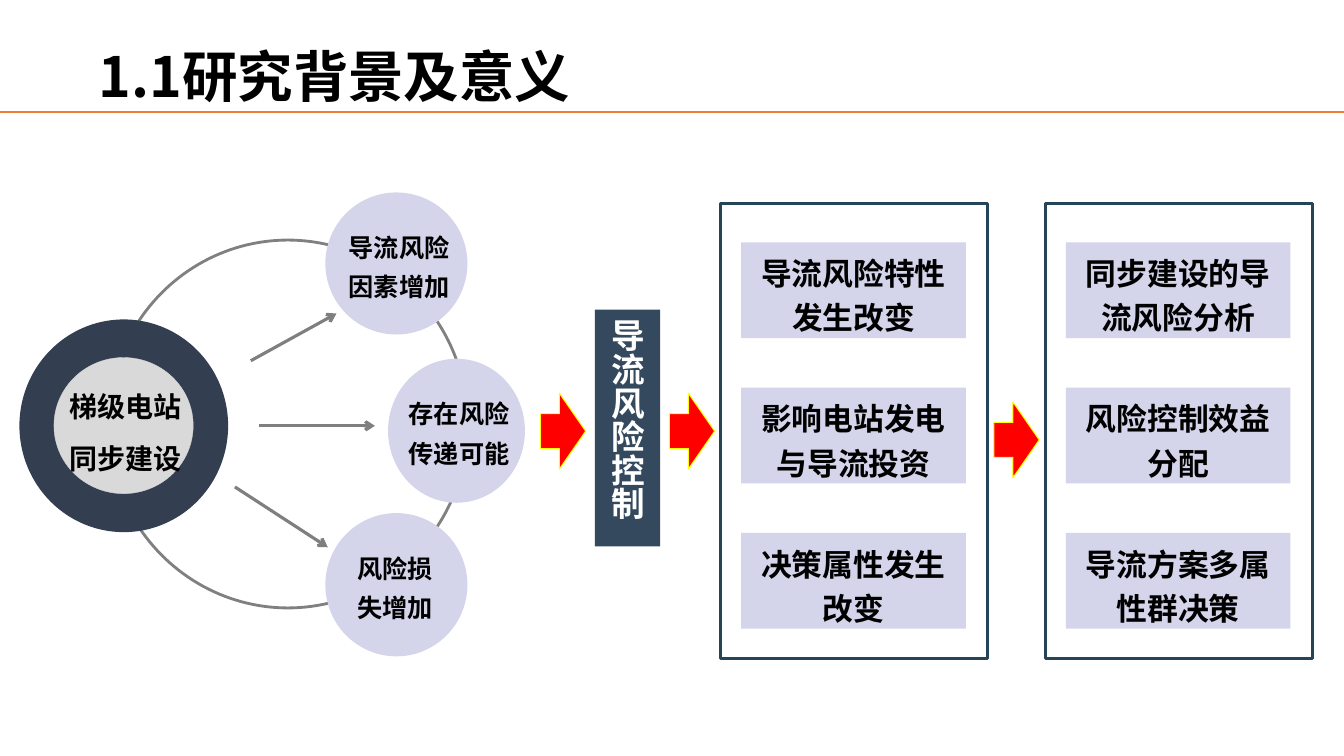
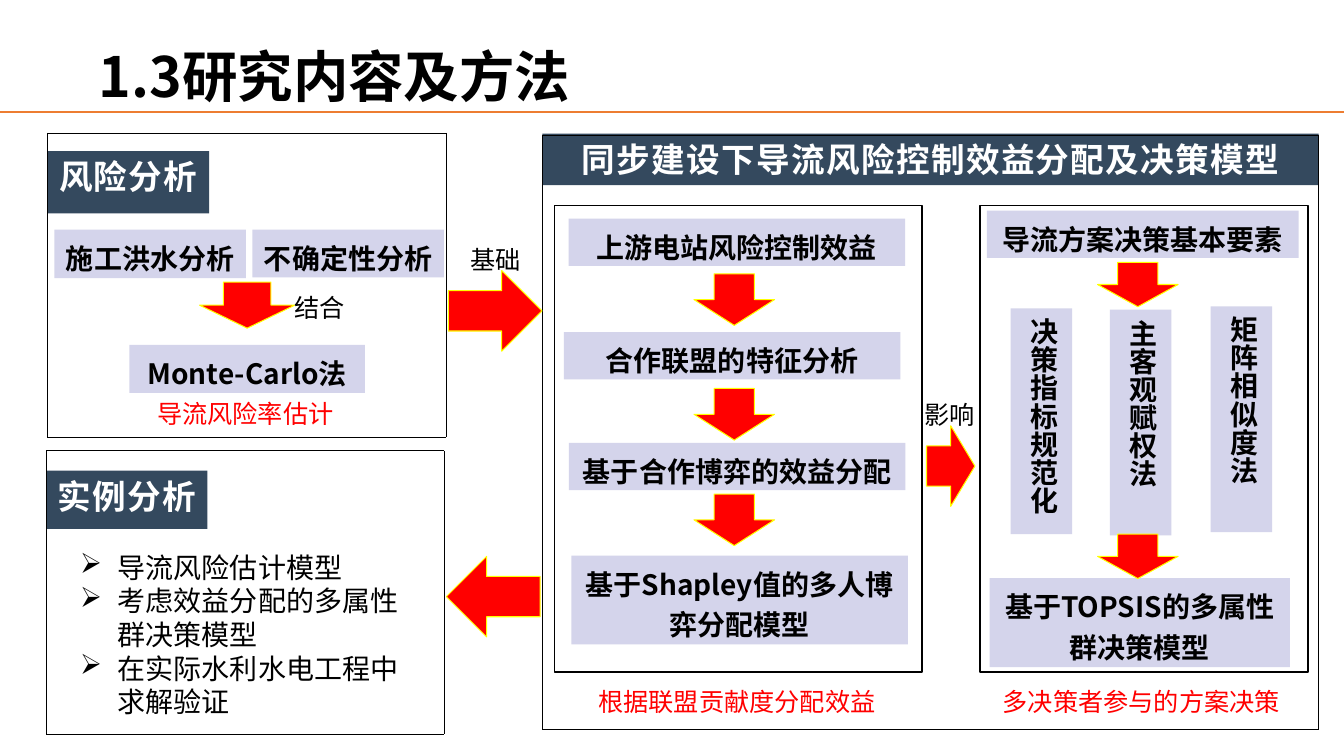
from lxml import etree
from pptx import Presentation
from pptx.dml.color import RGBColor
from pptx.enum.shapes import MSO_CONNECTOR, MSO_SHAPE
from pptx.enum.text import MSO_ANCHOR, MSO_AUTO_SIZE, PP_ALIGN
from pptx.oxml.ns import qn
from pptx.util import Cm, Pt

RECT, OVAL = MSO_SHAPE.RECTANGLE, MSO_SHAPE.OVAL
RIGHT, LEFT, DOWN = MSO_SHAPE.RIGHT_ARROW, MSO_SHAPE.LEFT_ARROW, MSO_SHAPE.DOWN_ARROW
STRAIGHT = MSO_CONNECTOR.STRAIGHT
TOP, MIDDLE = MSO_ANCHOR.TOP, MSO_ANCHOR.MIDDLE
CENTER = PP_ALIGN.CENTER
GROW = MSO_AUTO_SIZE.SHAPE_TO_FIT_TEXT

BLACK = RGBColor(0x00, 0x00, 0x00)
WHITE = RGBColor(0xFF, 0xFF, 0xFF)
RED = RGBColor(0xFF, 0x00, 0x00)
YELLOW = RGBColor(0xFF, 0xFF, 0x00)
ORANGE = RGBColor(0xED, 0x7D, 0x31)
LAVENDER = RGBColor(0xD4, 0xD4, 0xEB)
SLATE = RGBColor(0x34, 0x49, 0x5E)
TEAL = RGBColor(0x26, 0x44, 0x57)
NAVY = RGBColor(0x33, 0x3F, 0x50)
RING_GREY = RGBColor(0x80, 0x80, 0x80)
ARROW_GREY = RGBColor(0x7F, 0x7F, 0x7F)
LIGHT_GREY = RGBColor(0xD9, 0xD9, 0xD9)
EDGE_GREY = RGBColor(0xD7, 0xD7, 0xD7)
FONT = "Noto Sans CJK SC"

SLIDE_W, SLIDE_H = 33.87, 19.05

# Positions are (left, top, width, height) in centimetres.
# Slide 1: background
RING = (2.72, 6.05, 9.07, 9.27)
HUB_OUTER = (0.49, 8.05, 5.26, 5.36)
HUB_INNER = (1.36, 9.01, 3.51, 3.43)
HUB_LABEL = (0.33, 9.06, 5.69, 3.35)
HUB_LINES = ["梯级电站", "同步建设"]
FACTORS = [  # text, circle, label
    ("导流风险因素增加", (8.2, 4.85, 3.58, 3.58), (8.27, 5.12, 3.58, 2.92)),
    ("存在风险传递可能", (9.78, 9.04, 3.45, 3.63), (9.79, 9.32, 3.56, 2.95)),
    ("风险损失增加", (8.2, 12.93, 3.58, 3.61), (8.23, 13.21, 3.45, 2.92)),
]
SPOKES = [(6.32, 9.09, 8.48, 7.9), (6.53, 10.73, 9.45, 10.73),
          (5.92, 12.27, 8.26, 13.79)]
CONTROL = ("导流风险控制", (14.99, 7.8, 1.65, 5.97))
STEP_ARROWS = [(13.62, 9.91), (16.87, 9.91), (25.05, 10.13)]
COLUMNS = [
    (18.16, ["导流风险特性发生改变", "影响电站发电与导流投资", "决策属性发生改变"]),
    (26.34, ["同步建设的导流风险分析", "风险控制效益分配", "导流方案多属性群决策"]),
]

# Slide 2: content and methods
HEADERS = [  # text, box, wrap
    ("风险分析", (1.2, 3.81, 4.07, 1.57), False),
    ("实例分析", (1.17, 11.86, 4.06, 1.47), False),
    ("同步建设下导流风险控制效益分配及决策模型", (13.67, 3.37, 19.56, 1.3), True),
]
GROUP_FRAMES = [
    (1.19, 3.35, 10.06, 7.67),
    (1.17, 11.36, 10.03, 7.14),
    (13.67, 3.4, 19.56, 14.97),
]
MODEL_PANELS = [(13.97, 5.18, 9.27, 11.76), (24.7, 5.18, 8.26, 11.76)]
METHODS = [
    ("施工洪水分析", (1.37, 5.79, 4.83, 1.22)),
    ("不确定性分析", (6.36, 5.79, 4.83, 1.2)),
    ("Monte-Carlo法", (3.26, 8.69, 5.94, 1.21)),
    ("上游电站风险控制效益", (14.33, 5.51, 8.48, 1.19)),
    ("合作联盟的特征分析", (14.21, 8.37, 8.48, 1.19)),
    ("基于合作博弈的效益分配", (14.34, 11.16, 8.48, 1.19)),
    ("基于Shapley值的多人博弈分配模型", (14.4, 14, 8.48, 2.24)),
    ("导流方案决策基本要素", (24.87, 5.31, 7.86, 1.19)),
    ("基于TOPSIS的多属性群决策模型", (24.94, 14.57, 7.57, 2.24)),
]
VERTICAL_METHODS = [
    ("决策指标规范化", (25.47, 7.77, 1.55, 5.69)),
    ("主客观赋权法", (27.97, 7.8, 1.55, 5.69)),
    ("矩阵相似度法", (30.51, 7.72, 1.55, 5.69)),
]
FLOW_ARROWS = [
    (DOWN, (5.03, 7.11, 2.4, 1.16)),
    (DOWN, (17.49, 6.9, 2.03, 1.3)),
    (DOWN, (17.49, 9.79, 2.03, 1.3)),
    (DOWN, (17.49, 12.45, 2.03, 1.3)),
    (DOWN, (27.66, 6.61, 2.03, 1.12)),
    (DOWN, (27.66, 13.46, 2.03, 1.12)),
    (RIGHT, (11.3, 6.82, 2.36, 2.03)),
    (RIGHT, (23.35, 10.73, 1.22, 2.03)),
    (LEFT, (11.25, 14.02, 2.36, 2.03)),
]
CAPTIONS = [
    ("结合", (7.18, 7.24, 1.8, 1.09), BLACK),
    ("基础", (11.61, 6.02, 1.8, 1.02), BLACK),
    ("影响", (23.04, 9.93, 1.8, 1.02), BLACK),
    ("导流风险率估计", (3.71, 9.91, 5, 1.02), RED),
    ("根据联盟贡献度分配效益", (14.83, 17.17, 7.57, 1.02), RED),
    ("多决策者参与的方案决策", (25.02, 17.17, 7.57, 1.02), RED),
]
CASE_BOX = (1.77, 13.74, 8.6, 4.52)
CASE_STEPS = ["导流风险估计模型", "考虑效益分配的多属性群决策模型",
              "在实际水利水电工程中求解验证"]
ARROW_BULLET = ("Wingdings", "Ø")


def lengths(values):
    return [Cm(v) for v in values]


def write(s, lines, size, color=BLACK, bold=True, align=None, spacing=None,
          after=None, wrap=True, inset=None, anchor=TOP, font=FONT,
          tracking=None, vertical=False, bullet=None):
    """Fill a shape with one paragraph per line; tracking is in points."""
    tf = s.text_frame
    tf.text = "\n".join(lines)
    tf.word_wrap = wrap
    tf.auto_size = GROW
    tf.vertical_anchor = anchor
    if inset is not None:
        tf.margin_left = tf.margin_right = Cm(inset)
        tf.margin_top = tf.margin_bottom = Cm(inset)
    if vertical:
        s.element.find(".//" + qn("a:bodyPr")).set("vert", "eaVert")
    for p in tf.paragraphs:
        p.alignment = align or PP_ALIGN.LEFT
        if spacing:
            p.line_spacing = spacing
        if after:
            p.space_after = Pt(after)
        if bullet:
            face, char = bullet
            pPr = p._p.get_or_add_pPr()
            pPr.set("marL", str(Cm(0.95)))
            pPr.set("indent", str(-Cm(0.95)))
            etree.SubElement(pPr, qn("a:buFont")).set("typeface", face)
            etree.SubElement(pPr, qn("a:buChar")).set("char", char)
        for r in p.runs:
            r.font.size = Pt(size)
            r.font.bold = bold
            r.font.color.rgb = color
            r.font.name = font
            rPr = r._r.get_or_add_rPr()
            etree.SubElement(rPr, qn("a:ea")).set("typeface", FONT)
            if tracking:
                rPr.set("spc", str(tracking * 100))


def add_shape(slide, kind, box, fill=None, line=None, width=1):
    s = slide.shapes.add_shape(kind, *lengths(box))
    s.shadow.inherit = False
    if fill is None:
        s.fill.background()
    else:
        s.fill.solid()
        s.fill.fore_color.rgb = fill
    if line is None:
        s.line.fill.background()
    else:
        s.line.color.rgb = line
        s.line.width = Pt(width)
    return s


def add_text(slide, box, lines, size, **style):
    write(slide.shapes.add_textbox(*lengths(box)), lines, size, **style)


def add_method(slide, text, box, size, vertical=False):
    s = add_shape(slide, RECT, box, LAVENDER)
    write(s, [text], size, align=CENTER, spacing=1.2, vertical=vertical)


def add_block_arrow(slide, kind, box, shaft=0.5, head=0.5):
    s = add_shape(slide, kind, box, RED, YELLOW, 0.75)
    s.adjustments[0], s.adjustments[1] = shaft, head


def add_line(slide, ends, color, width, arrow=False):
    c = slide.shapes.add_connector(STRAIGHT, *lengths(ends))
    c.line.color.rgb = color
    c.line.width = Pt(width)
    if arrow:
        ln = c.line._get_or_add_ln()
        etree.SubElement(ln, qn("a:tailEnd")).set("type", "arrow")
    etree.SubElement(c.element.spPr, qn("a:effectLst"))


def add_frame(slide, box):
    """Outline a box with four thin lines."""
    left, top, width, height = box
    right, bottom = left + width, top + height
    for ends in [(left, top, right, top), (right, top, right, bottom),
                 (left, bottom, right, bottom), (left, top, left, bottom)]:
        add_line(slide, ends, BLACK, 0.5)


def new_slide(prs, title):
    slide = prs.slides.add_slide(prs.slide_layouts[6])
    add_line(slide, (0, 2.82, SLIDE_W, 2.82), ORANGE, 1)
    add_text(slide, (2.24, 1.09, 24.92, 1.85), [title], 39.6,
             spacing=0.9, anchor=MIDDLE)
    return slide


def build_background(prs):
    slide = new_slide(prs, "1.1研究背景及意义")
    add_shape(slide, OVAL, RING, line=RING_GREY, width=2)
    add_shape(slide, OVAL, HUB_OUTER, NAVY)
    add_shape(slide, OVAL, HUB_INNER, LIGHT_GREY, EDGE_GREY, 0.25)
    label_style = dict(align=CENTER, spacing=1.3, after=6, inset=0.5)
    add_text(slide, HUB_LABEL, HUB_LINES, 20, font="Arial", **label_style)
    for text, circle, label in FACTORS:
        add_shape(slide, OVAL, circle, LAVENDER)
        add_text(slide, label, [text], 18, **label_style)
    for ends in SPOKES:
        add_line(slide, ends, ARROW_GREY, 2.25, arrow=True)

    text, box = CONTROL
    write(add_shape(slide, RECT, box, SLATE), [text], 24, WHITE,
          align=CENTER, spacing=1.2, vertical=True)
    for left, top in STEP_ARROWS:
        add_block_arrow(slide, RIGHT, (left, top, 1.14, 1.91), 0.46, 0.58)
    for left, texts in COLUMNS:
        add_shape(slide, RECT, (left, 5.12, 6.73, 11.48), line=TEAL, width=2.25)
        for i, text in enumerate(texts):
            add_method(slide, text, (left + 0.52, 6.11 + i * 3.66, 5.66, 2.41), 22)


def build_methods(prs):
    slide = new_slide(prs, "1.3研究内容及方法")
    for text, box, wrap in HEADERS:
        write(add_shape(slide, RECT, box, SLATE), [text], 24, WHITE,
              align=CENTER, wrap=wrap, tracking=1)
    for box in GROUP_FRAMES:
        add_frame(slide, box)
    for box in MODEL_PANELS:
        add_shape(slide, RECT, box, line=BLACK)
    for text, box in METHODS:
        add_method(slide, text, box, 20)
    for text, box in VERTICAL_METHODS:
        add_method(slide, text, box, 20, vertical=True)
    for kind, box in FLOW_ARROWS:
        add_block_arrow(slide, kind, box)
    for text, box, color in CAPTIONS:
        add_text(slide, box, [text], 18, color=color, bold=False, wrap=False)
    add_text(slide, CASE_BOX, CASE_STEPS, 20, bold=False, bullet=ARROW_BULLET)


def main():
    prs = Presentation()
    prs.slide_width, prs.slide_height = Cm(SLIDE_W), Cm(SLIDE_H)
    build_background(prs)
    build_methods(prs)
    prs.save("out.pptx")


if __name__ == "__main__":
    main()
